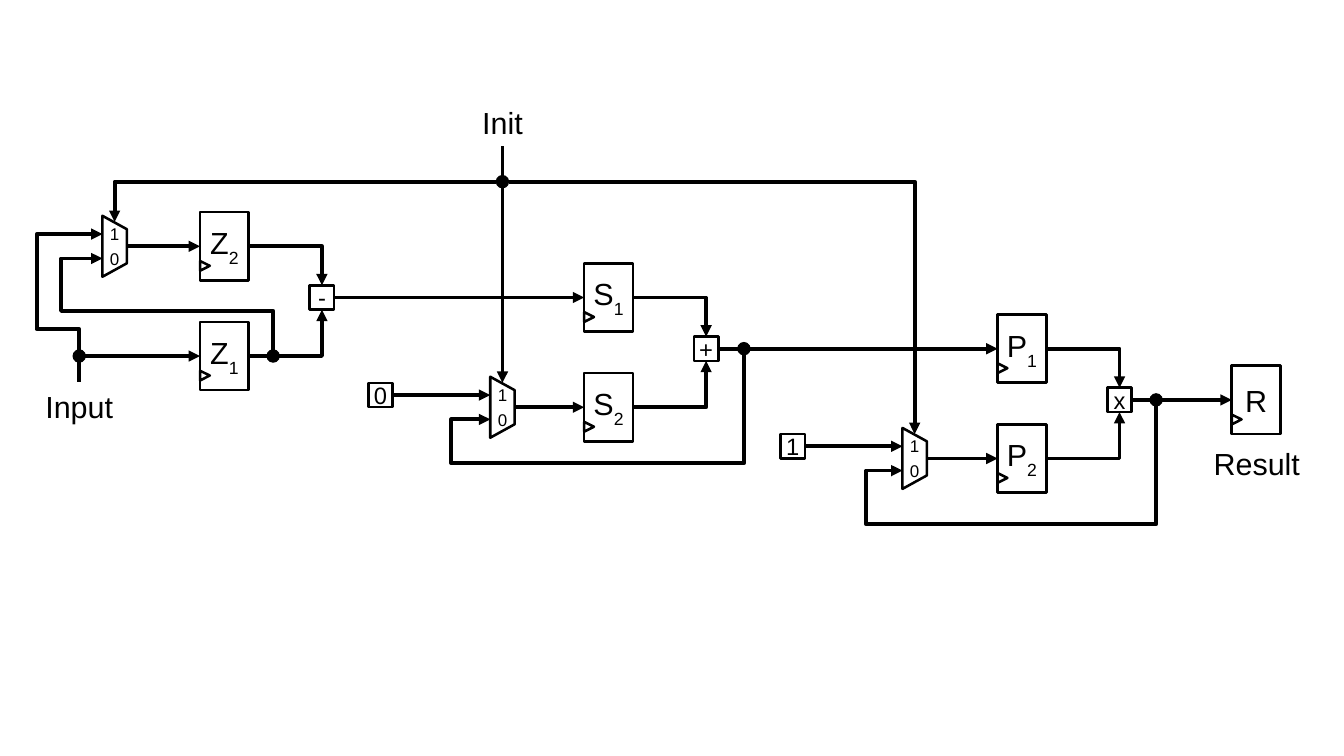
"""Build a slide with the circuit of difference, sum and product stages."""
from dataclasses import dataclass
from typing import Optional

from lxml import etree
from pptx import Presentation
from pptx.dml.color import RGBColor
from pptx.enum.shapes import MSO_CONNECTOR, MSO_SHAPE
from pptx.enum.text import MSO_ANCHOR, PP_ALIGN
from pptx.oxml.ns import qn
from pptx.shapes.autoshape import Shape
from pptx.shapes.connector import Connector
from pptx.shapes.shapetree import SlideShapes
from pptx.util import Inches, Pt

BLACK = RGBColor(0, 0, 0)
WHITE = RGBColor(255, 255, 255)
FONT = "Arial"
RECTANGLE = MSO_SHAPE.RECTANGLE
TRIANGLE = MSO_SHAPE.ISOSCELES_TRIANGLE
OVAL = MSO_SHAPE.OVAL
STRAIGHT = MSO_CONNECTOR.STRAIGHT
ELBOW = MSO_CONNECTOR.ELBOW
CENTER = PP_ALIGN.CENTER
MIDDLE = MSO_ANCHOR.MIDDLE
TOP, LEFT, BOTTOM, RIGHT = range(4)
SIDE_OFFSETS = {TOP: (0.5, 0), LEFT: (0, 0.5), BOTTOM: (0.5, 1), RIGHT: (1, 0.5)}
MUX_OUTLINE = [(0, 0.5), (0.2, 0.39), (0.2, 0.11)]
CELL = 0.2
REGISTER_STEP = 0.9


@dataclass
class Stage:
    """One stage: two registers, a multiplexer and an operator."""

    letter: str
    upper: str
    lower: str
    left: float
    top: float
    mux_left: float
    mux_feeds_upper: bool
    operator: str
    constant: Optional[str] = None


@dataclass
class StageParts:
    """The drawn shapes of a stage that wires attach to."""

    upper: Shape
    lower: Shape
    operator: Shape
    one: Shape
    zero: Shape


STAGES = [
    Stage("Z", "2", "1", 1.64, 1.74, 0.84, True, "-"),
    Stage("S", "1", "2", 4.79, 2.16, 4.02, False, "+", "0"),
    Stage("P", "1", "2", 8.18, 2.58, 7.4, False, "x", "1"),
]


def write(shape: Shape, text: str, size: int, subscript: str = "") -> None:
    """Write centred text with an optional subscript."""
    frame = shape.text_frame
    frame.margin_left = frame.margin_right = 0
    frame.margin_top = frame.margin_bottom = 0
    frame.word_wrap = False
    frame.vertical_anchor = MIDDLE
    paragraph = frame.paragraphs[0]
    paragraph.text = text
    paragraph.alignment = CENTER
    if subscript:
        index = paragraph.add_run()
        index.text = subscript
        index._r.get_or_add_rPr().set("baseline", "-33000")
    for run in paragraph.runs:
        run.font.name = FONT
        run.font.size = Pt(size)
        run.font.color.rgb = BLACK


def outline(shape: Shape) -> None:
    """Give a shape a plain black outline without fill."""
    shape.shadow.inherit = False
    shape.fill.background()
    shape.line.color.rgb = BLACK
    shape.line.width = Pt(1.5)


def add_box(shapes: SlideShapes, left: float, top: float, width: float, height: float) -> Shape:
    """Add an outlined rectangle."""
    box = shapes.add_shape(RECTANGLE, Inches(left), Inches(top), Inches(width), Inches(height))
    outline(box)
    return box


def add_cell(shapes: SlideShapes, left: float, top: float, symbol: str) -> Shape:
    """Add a small box with an operator or a constant."""
    cell = add_box(shapes, left, top, CELL, CELL)
    write(cell, symbol, 14)
    return cell


def add_register(shapes: SlideShapes, left: float, top: float, name: str, index: str = "") -> Shape:
    """Add a register with its clock mark."""
    register = add_box(shapes, left, top, 0.4, 0.56)
    write(register, name, 18, index)
    clock = shapes.add_shape(TRIANGLE, Inches(left), Inches(top + 0.4), Inches(0.08), Inches(0.08))
    clock.rotation = 90
    outline(clock)
    return register


def add_mux_input(shapes: SlideShapes, left: float, top: float, digit: str) -> Shape:
    """Add the digit at an input of a multiplexer."""
    digit_box = shapes.add_shape(RECTANGLE, Inches(left), Inches(top), Inches(CELL), Inches(CELL))
    digit_box.shadow.inherit = False
    digit_box.fill.solid()
    digit_box.fill.fore_color.rgb = WHITE
    digit_box.line.fill.background()
    write(digit_box, digit, 10)
    return digit_box


def add_dot(shapes: SlideShapes, x: float, y: float) -> Shape:
    """Add a junction dot centred on a point."""
    dot = shapes.add_shape(OVAL, Inches(x - 0.05), Inches(y - 0.05), Inches(0.1), Inches(0.1))
    outline(dot)
    dot.line.width = Pt(0)
    dot.fill.solid()
    dot.fill.fore_color.rgb = BLACK
    return dot


def add_label(shapes: SlideShapes, left: float, top: float, width: float, text: str) -> Shape:
    """Add the name of an outer signal."""
    label = shapes.add_textbox(Inches(left), Inches(top), Inches(width), Inches(0.4))
    write(label, text, 18)
    return label


def style_wire(wire: Connector) -> None:
    """Draw a connector as a thick black arrow."""
    wire.line.color.rgb = BLACK
    wire.line.width = Pt(2.25)
    etree.SubElement(wire.line._get_or_add_ln(), qn("a:tailEnd"), type="triangle")
    etree.SubElement(wire.element.spPr, qn("a:effectLst"))


def orient(wire: Connector, turn: int, flip_h: bool, flip_v: bool) -> None:
    """Set the rotation and the flips of a connector."""
    frame = wire.element.spPr.find(qn("a:xfrm"))
    frame.set("rot", str(turn * 60000))
    frame.set("flipH", str(int(flip_h)))
    frame.set("flipV", str(int(flip_v)))


def add_wire(shapes: SlideShapes, source: Shape, out: int, target: Shape, into: int,
             kind: int = STRAIGHT) -> Connector:
    """Join the sides of two shapes with an arrow."""
    ends = []
    for shape, side in ((source, out), (target, into)):
        across, down = SIDE_OFFSETS[side]
        ends += [int(shape.left + across * shape.width), int(shape.top + down * shape.height)]
    wire = shapes.add_connector(kind, *ends)
    wire.begin_connect(source, out)
    wire.end_connect(target, into)
    if source.element.spPr.prstGeom.get("prst") == "ellipse":
        wire.element.find(".//" + qn("a:stCxn")).set("idx", str(2 * out))
    style_wire(wire)
    return wire


def add_corner(shapes: SlideShapes, source: Shape, out: int, target: Shape, into: int) -> None:
    """Join two shapes with a horizontal and then a vertical run."""
    wire = add_wire(shapes, source, out, target, into, ELBOW)
    wire.element.spPr.prstGeom.set("prst", "bentConnector2")
    if wire.end_x < wire.begin_x:
        orient(wire, 180, False, wire.end_y > wire.begin_y)


def add_loop(shapes: SlideShapes, source: Shape, out: int, target: Shape,
             lane_y: float, lane_x: float) -> None:
    """Lead a wire along two lanes into the left side of a shape."""
    wire = add_wire(shapes, source, out, target, LEFT, ELBOW)
    x, y = wire.begin_x, wire.begin_y
    dx, dy = wire.end_x - x, wire.end_y - y
    rising, leftward = dy < 0, dx < 0
    wire.left, wire.top = x + (dx - abs(dy)) // 2, y + (dy - abs(dx)) // 2
    wire.width, wire.height = abs(dy), abs(dx)
    orient(wire, 270 if rising and leftward else 90, rising and not leftward, rising)
    geometry = wire.element.spPr.prstGeom
    geometry.set("prst", "bentConnector4")
    adjustments = geometry.find(qn("a:avLst"))
    ratios = ((Inches(lane_y) - y) / dy, (Inches(lane_x) - x) / dx)
    for number, ratio in enumerate(ratios, 1):
        etree.SubElement(adjustments, qn("a:gd"), name=f"adj{number}",
                         fmla=f"val {round(ratio * 100000)}")


def add_stage(shapes: SlideShapes, stage: Stage) -> StageParts:
    """Draw a stage with its inner wires."""
    left, top, mux_left = stage.left, stage.top, stage.mux_left
    mux_top = top + 0.03 + (0 if stage.mux_feeds_upper else REGISTER_STEP)
    upper = add_register(shapes, left, top, stage.letter, stage.upper)
    lower = add_register(shapes, left, top + REGISTER_STEP, stage.letter, stage.lower)
    operator = add_cell(shapes, left + 0.9, top + 0.6, stage.operator)
    zero = add_mux_input(shapes, mux_left, mux_top + 0.25, "0")
    one = add_mux_input(shapes, mux_left, mux_top + 0.05, "1")
    builder = shapes.build_freeform(Inches(mux_left), Inches(mux_top))
    builder.add_line_segments([(Inches(mux_left + x), Inches(mux_top + y)) for x, y in MUX_OUTLINE])
    outline(builder.convert_to_shape())
    add_corner(shapes, upper, RIGHT, operator, TOP)
    add_corner(shapes, lower, RIGHT, operator, BOTTOM)
    mux_y = Inches(mux_top + 0.25)
    output = shapes.add_connector(STRAIGHT, Inches(mux_left + CELL), mux_y, Inches(left), mux_y)
    output.end_connect(upper if stage.mux_feeds_upper else lower, LEFT)
    style_wire(output)
    if stage.constant:
        constant = add_cell(shapes, mux_left - 1, mux_top + 0.05, stage.constant)
        add_wire(shapes, constant, RIGHT, one, LEFT)
    return StageParts(upper, lower, operator, one, zero)


def main() -> None:
    """Build and save the slide."""
    deck = Presentation()
    deck.slide_width, deck.slide_height = Inches(11.02), Inches(6.2)
    shapes = deck.slides.add_slide(deck.slide_layouts[6]).shapes
    difference, total, product = [add_stage(shapes, stage) for stage in STAGES]
    result = add_register(shapes, 10.1, 3, "R")

    init = add_label(shapes, 3.77, 0.8, 0.7, "Init")
    signal = add_label(shapes, 0.3, 3.13, 0.7, "Input")
    add_label(shapes, 9.9, 3.6, 0.81, "Result")
    init_dot = add_dot(shapes, 4.12, 1.49)
    input_dot = add_dot(shapes, 0.65, 2.92)
    z_dot = add_dot(shapes, 2.24, 2.92)
    sum_dot = add_dot(shapes, 6.1, 2.86)
    product_dot = add_dot(shapes, 9.48, 3.28)

    add_wire(shapes, difference.operator, RIGHT, total.upper, LEFT)
    add_wire(shapes, total.operator, RIGHT, product.upper, LEFT)
    add_wire(shapes, product.operator, RIGHT, result, LEFT)
    add_wire(shapes, input_dot, RIGHT, difference.lower, LEFT)
    add_wire(shapes, init, BOTTOM, total.one, TOP)
    add_corner(shapes, init_dot, LEFT, difference.one, TOP)
    add_corner(shapes, init_dot, RIGHT, product.one, TOP)
    add_loop(shapes, signal, TOP, difference.one, 2.7, 0.3)
    add_loop(shapes, z_dot, TOP, difference.zero, 2.55, 0.5)
    add_loop(shapes, sum_dot, BOTTOM, total.zero, 3.8, 3.7)
    add_loop(shapes, product_dot, BOTTOM, product.zero, 4.3, 7.1)
    deck.save("out.pptx")


if __name__ == "__main__":
    main()
